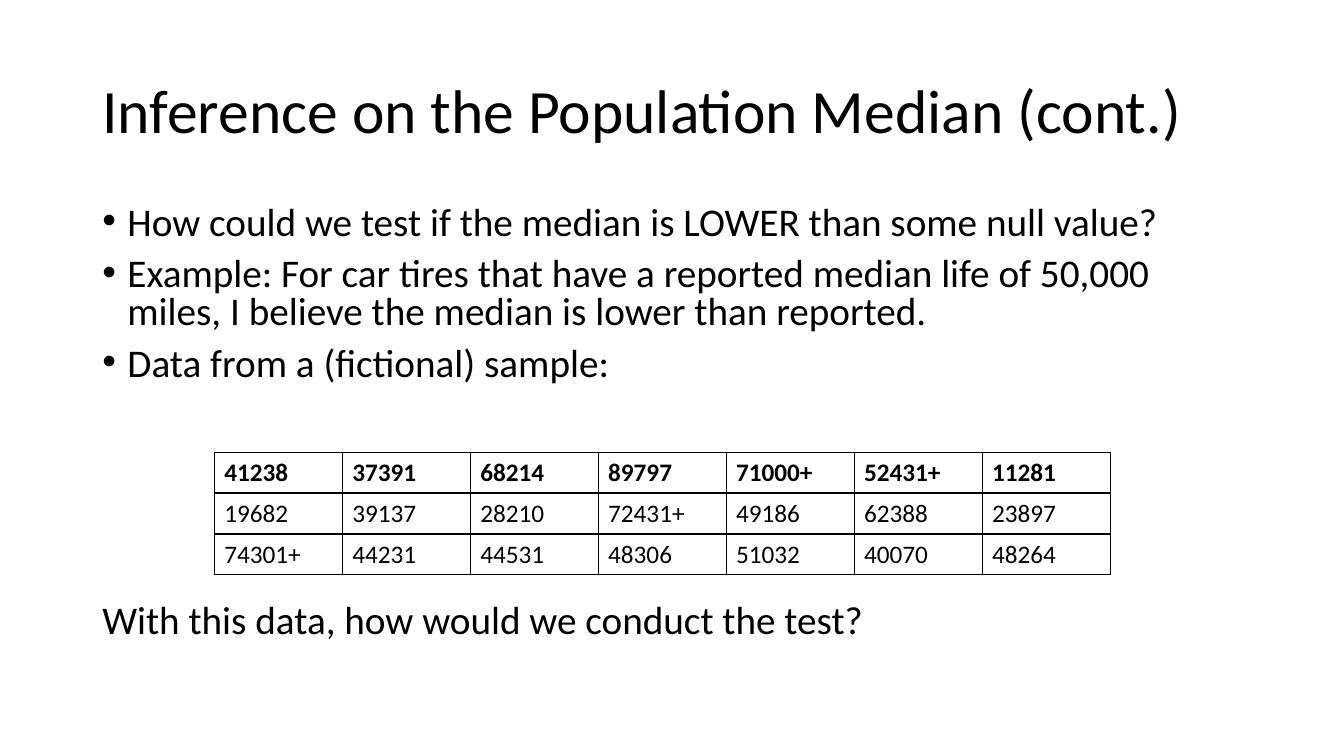
from lxml.etree import SubElement
from pptx import Presentation
from pptx.dml.color import RGBColor
from pptx.enum.text import MSO_ANCHOR as Anchor, MSO_AUTO_SIZE as Fit, PP_ALIGN as Align
from pptx.oxml.ns import qn
from pptx.util import Pt

BLACK = RGBColor(0, 0, 0)
WHITE = RGBColor(255, 255, 255)
FACE = "Calibri"


def style(para, size, bold=False):
    font = para.font
    font.name, font.size, font.bold = FACE, Pt(size), bold
    font.color.rgb = BLACK


deck = Presentation()
deck.slide_width, deck.slide_height = Pt(960), Pt(540)
slide = deck.slides.add_slide(deck.slide_layouts[5])
shapes = slide.shapes

# Title
title = shapes.title
title.left, title.top, title.width, title.height = Pt(66), Pt(28.75), Pt(828), Pt(104.4)
frame = title.text_frame
frame.text = "Inference on the Population Median (cont.)"
frame.auto_size = Fit.NONE
frame.vertical_anchor = Anchor.MIDDLE
para = frame.paragraphs[0]
para.alignment = Align.LEFT
para.line_spacing = 0.9
style(para, 44)

# Bullets, then the closing question below the table
points = [
    "How could we test if the median is LOWER than some null value?",
    "Example: For car tires that have a reported median life of 50,000 "
    "miles, I believe the median is lower than reported.",
    "Data from a (fictional) sample:",
]
question = "With this data, how would we conduct the test?"
body = shapes.add_textbox(Pt(66), Pt(143.75), Pt(828), Pt(342.6))
frame = body.text_frame
frame.word_wrap = True
frame.text = "\n".join(points + [question])
for para in frame.paragraphs:
    para.line_spacing = 0.8
    para.space_before = Pt(10)
    style(para, 28)
for para in frame.paragraphs[:-1]:
    props = para._p.get_or_add_pPr()
    props.set("marL", str(Pt(18)))
    props.set("indent", str(Pt(-18)))
    SubElement(props, qn("a:buFont"), typeface="Arial")
    SubElement(props, qn("a:buChar"), char="•")
frame.paragraphs[-1].space_before = Pt(157)

# Table of tire mileages
miles = [
    ["41238", "37391", "68214", "89797", "71000+", "52431+", "11281"],
    ["19682", "39137", "28210", "72431+", "49186", "62388", "23897"],
    ["74301+", "44231", "44531", "48306", "51032", "40070", "48264"],
]
wide, high = 91.43, 29.2
table = shapes.add_table(3, 7, Pt(153), Pt(323), Pt(7 * wide), Pt(3 * high)).table
table.horz_banding = False
for col in table.columns:
    col.width = Pt(wide)
for r, row in enumerate(miles):
    table.rows[r].height = Pt(high)
    for c, text in enumerate(row):
        cell = table.cell(r, c)
        cell.text = text
        style(cell.text_frame.paragraphs[0], 18, bold=r == 0)
        # Borders come before the fill in the cell's XML
        props = cell._tc.get_or_add_tcPr()
        for side in ("lnL", "lnR", "lnT", "lnB"):
            line = SubElement(props, qn("a:" + side), w=str(Pt(1)))
            ink = SubElement(line, qn("a:solidFill"))
            SubElement(ink, qn("a:srgbClr"), val=str(BLACK))
        cell.fill.solid()
        cell.fill.fore_color.rgb = WHITE

deck.save("out.pptx")
